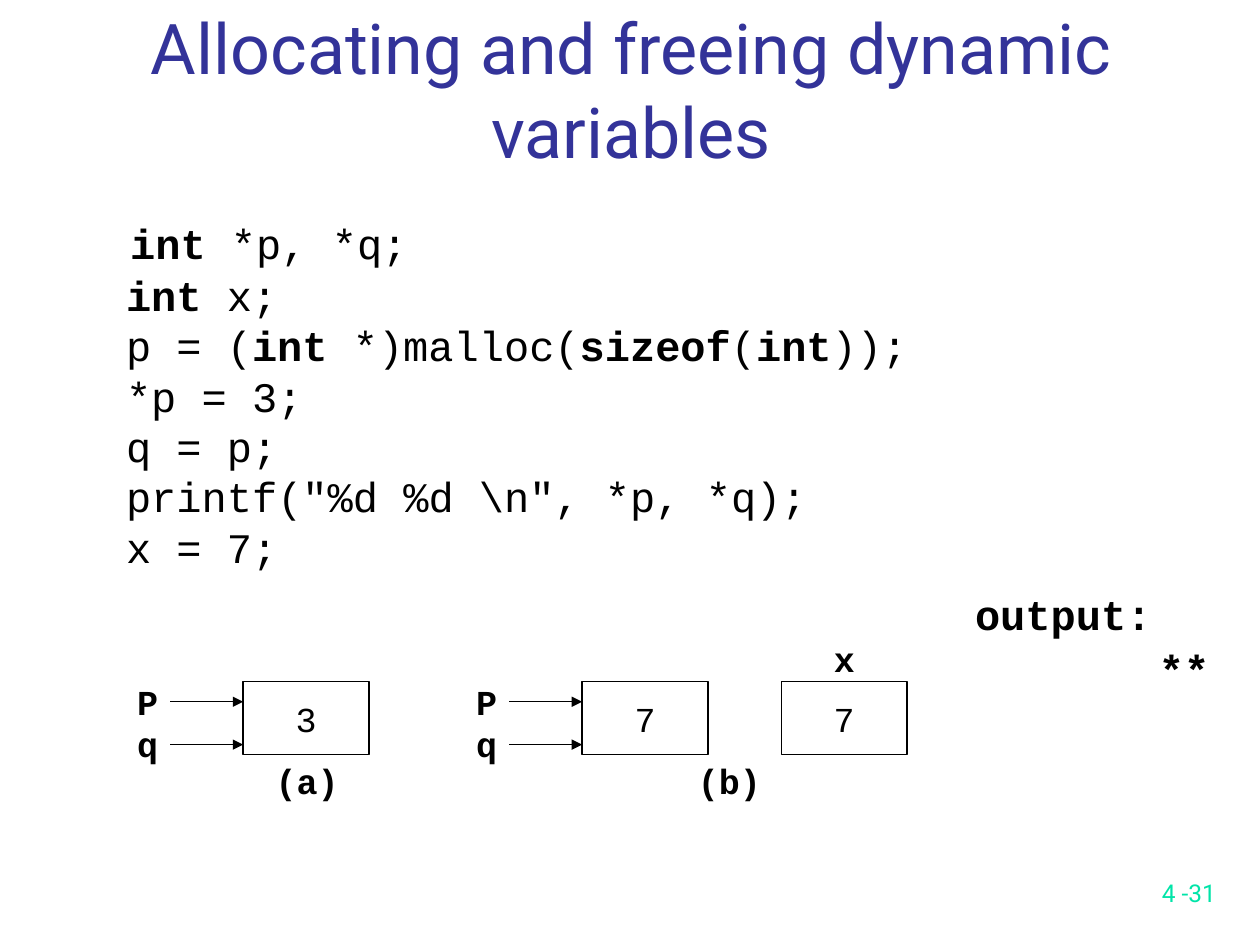
import pptx
import pptx.util
import pptx.dml.color
import pptx.enum.shapes
import pptx.enum.text
import pptx.oxml.ns
import lxml.etree

Inches = pptx.util.Inches
ANCHOR = pptx.enum.text.MSO_ANCHOR
ALIGN = pptx.enum.text.PP_ALIGN

COLORS = {"title": "333399", "ink": "000000", "number": "00E4A8"}
CODE_FONT, TEXT_FONT = "Courier New", "Roboto"

TITLE = "Allocating and freeing dynamic variables"
KEYWORDS = ("int", "sizeof")
# Each code line is a list of pieces; the keywords among them are bold.
CODE = [
    [" ", "int", " *p, *q;"],
    [" ", "int", " x;"],
    [" p = (", "int", " *)malloc(", "sizeof", "(", "int", "));"],
    [" *p = 3;"],
    [" q = p;"],
    [' printf("%d %d \\n", *p, *q);'],
    [" x = 7;"],
]

# Memory cells: left edge, value
CELLS = [(1.93, "3"), (4.62, "7"), (6.2, "7")]
POINTED_CELLS = CELLS[:2]
CELL_TOP, CELL_WIDTH, CELL_HEIGHT = 5.41, 1, 0.58
ARROW_LENGTH, ARROW_HEIGHTS = 0.58, (5.57, 5.91)

# Labels: lines, left, top, width, height, size
LABELS = [
    (["x"], 6.52, 5.01, 0.36, 0.44, 20),
    (["(a)"], 2.09, 5.98, 0.7, 0.44, 20),
    (["(b)"], 5.44, 5.98, 0.7, 0.44, 20),
    (["output:"], 7.64, 4.62, 1.6, 0.5, 24),
    (["**"], 9.1, 5.06, 0.6, 0.5, 24),
]
LABELS += [(["P", "q"], left - 0.94, 5.35, 0.36, 0.77, 20)
           for left, value in POINTED_CELLS]


def add_run(para, text, size, font=CODE_FONT, color="ink", bold=False):
    span = para.add_run()
    span.text = text
    values = {"name": font, "size": pptx.util.Pt(size), "bold": bold}
    for name, value in values.items():
        setattr(span.font, name, value)
    span.font.color.rgb = pptx.dml.color.RGBColor.from_string(COLORS[color])


def format_frame(frame, **changes):
    values = {"word_wrap": True, "vertical_anchor": ANCHOR.TOP,
              "auto_size": pptx.enum.text.MSO_AUTO_SIZE.NONE,
              "margin_left": Inches(0.1), "margin_right": Inches(0.1),
              "margin_top": Inches(0.05), "margin_bottom": Inches(0.05)}
    for name, value in {**values, **changes}.items():
        setattr(frame, name, value)


def place(shape, *bounds):
    for name, value in zip(("left", "top", "width", "height"), bounds):
        setattr(shape, name, Inches(value))


def add_title(page):
    title = page.shapes.title
    place(title, 0.75, 0.42, 8.52, 1)
    format_frame(title.text_frame, vertical_anchor=ANCHOR.BOTTOM)
    para = title.text_frame.paragraphs[0]
    para.alignment = ALIGN.CENTER
    add_run(para, TITLE, 40, TEXT_FONT, "title")


def add_code(page):
    body = page.placeholders[1]
    place(body, 0.7, 1.62, 8.55, 5.08)
    frame = body.text_frame
    format_frame(frame)
    for row, pieces in enumerate(CODE):
        para = frame.add_paragraph() if row else frame.paragraphs[0]
        props = para._p.get_or_add_pPr()
        props.set("marL", str(Inches(0.38)))
        props.set("indent", str(Inches(-0.38)))
        lxml.etree.SubElement(props, pptx.oxml.ns.qn("a:buNone"))
        para.space_before = pptx.util.Pt(0)
        for column, piece in enumerate(pieces):
            size = 28 if row == column == 0 else 24
            add_run(para, piece, size, bold=piece in KEYWORDS)


def add_label(page, lines, left, top, width, height, size):
    box = page.shapes.add_textbox(*map(Inches, (left, top, width, height)))
    format_frame(box.text_frame, word_wrap=False)
    for row, text in enumerate(lines):
        frame = box.text_frame
        para = frame.add_paragraph() if row else frame.paragraphs[0]
        add_run(para, text, size, bold=True)


def set_black_line(shape):
    shape.line.color.rgb = pptx.dml.color.RGBColor.from_string(COLORS["ink"])
    shape.line.width = pptx.util.Pt(0.75)


def add_cell(page, left, value):
    cell = page.shapes.add_shape(
        pptx.enum.shapes.MSO_SHAPE.RECTANGLE,
        *map(Inches, (left, CELL_TOP, CELL_WIDTH, CELL_HEIGHT)))
    cell.shadow.inherit = False
    cell.fill.background()
    set_black_line(cell)
    format_frame(cell.text_frame, word_wrap=False, vertical_anchor=ANCHOR.MIDDLE)
    para = cell.text_frame.paragraphs[0]
    para.alignment = ALIGN.CENTER
    add_run(para, value, 20)


def add_arrow(page, end, height):
    arrow = page.shapes.add_connector(
        pptx.enum.shapes.MSO_CONNECTOR.STRAIGHT,
        *map(Inches, (end - ARROW_LENGTH, height, end, height)))
    set_black_line(arrow)
    qn = pptx.oxml.ns.qn
    lxml.etree.SubElement(arrow.line._get_or_add_ln(), qn("a:tailEnd"), type="triangle")
    lxml.etree.SubElement(arrow._element.spPr, qn("a:effectLst"))


def add_page_number(page):
    box = page.shapes.add_textbox(*map(Inches, (7.67, 6.75, 2.08, 0.5)))
    format_frame(box.text_frame, vertical_anchor=ANCHOR.BOTTOM)
    para = box.text_frame.paragraphs[0]
    para.alignment = ALIGN.RIGHT
    add_run(para, "4 -31", 14, TEXT_FONT, "number")


def main():
    deck = pptx.Presentation()
    deck.slide_width, deck.slide_height = Inches(10), Inches(7.5)
    page = deck.slides.add_slide(deck.slide_layouts[1])
    add_title(page)
    add_code(page)
    for left, value in CELLS:
        add_cell(page, left, value)
    for left, value in POINTED_CELLS:
        for height in ARROW_HEIGHTS:
            add_arrow(page, left, height)
    for label in LABELS:
        add_label(page, *label)
    add_page_number(page)
    deck.save("out.pptx")


if __name__ == "__main__":
    main()
